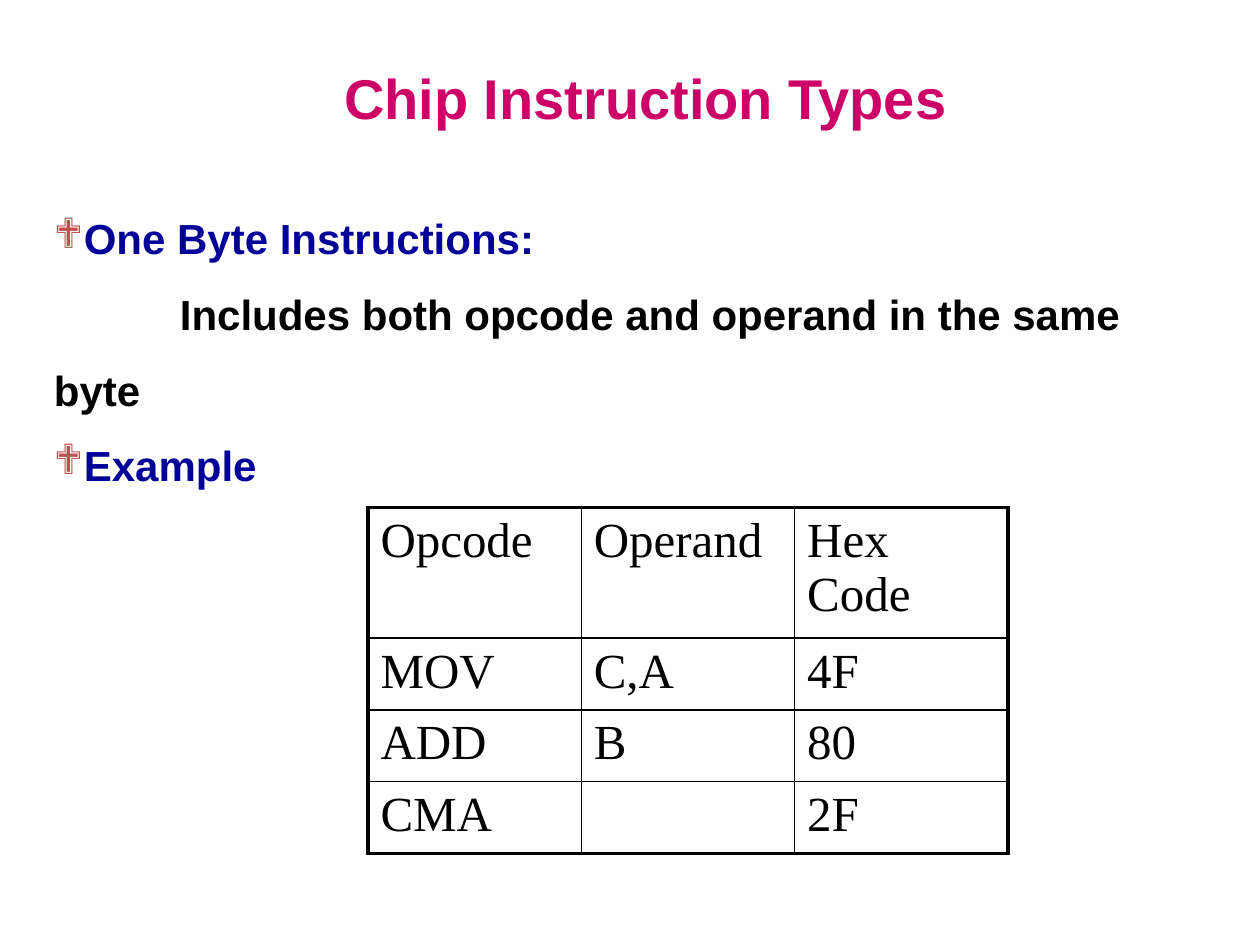
from dataclasses import dataclass

from lxml import etree
from pptx import Presentation
from pptx.dml.color import RGBColor
from pptx.enum.text import MSO_ANCHOR, MSO_AUTO_SIZE, PP_ALIGN
from pptx.oxml.ns import qn
from pptx.util import Inches, Pt

TOP = MSO_ANCHOR.TOP
FIXED = MSO_AUTO_SIZE.NONE
CENTER = PP_ALIGN.CENTER


@dataclass(frozen=True)
class Theme:
    sans: str = "Arial"
    serif: str = "Times New Roman"
    symbol: str = "Wingdings"
    pink: str = "CC0066"
    navy: str = "000099"
    black: str = "000000"
    red: str = "C0504D"
    title: int = 32
    body: int = 24
    cell: int = 28
    thick: float = 2.25
    thin: float = 1


THEME = Theme()

POINTS = [
    ("One Byte Instructions:", True),
    ("Includes both opcode and operand in the same byte", False),
    ("Example", True),
]
ROWS = [
    ("Opcode", "Operand", "Hex Code"),
    ("MOV", "C,A", "4F"),
    ("ADD", "B", "80"),
    ("CMA", "", "2F"),
]


def style(para, face, size, color, bold=False):
    font = para.font
    font.name, font.size, font.bold = face, Pt(size), bold
    font.color.rgb = RGBColor.from_string(color)


def add_color(parent, color):
    etree.SubElement(parent, qn("a:srgbClr"), val=color)


def add_title(slide, text):
    title = slide.shapes.title
    title.left, title.top = Inches(2.62), Inches(0.45)
    title.width, title.height = Inches(5.01), Inches(0.63)
    frame = title.text_frame
    frame.text = text
    frame.word_wrap = False
    frame.auto_size = FIXED
    frame.vertical_anchor = TOP
    para = frame.paragraphs[0]
    para.alignment = CENTER
    style(para, THEME.sans, THEME.title, THEME.pink, True)


def set_bullet(para):
    props = para._p.get_or_add_pPr()
    add_color(etree.SubElement(props, qn("a:buClr")), THEME.red)
    etree.SubElement(props, qn("a:buFont"), typeface=THEME.symbol)
    etree.SubElement(props, qn("a:buChar"), char="❖")


def add_points(slide, points):
    box = slide.shapes.add_textbox(
        Inches(0.33), Inches(1.44), Inches(8.92), Inches(3.69))
    frame = box.text_frame
    frame.word_wrap = True
    for i, (text, head) in enumerate(points):
        para = frame.add_paragraph() if i else frame.paragraphs[0]
        para.text = text
        para.line_spacing = 1.5
        if head:
            set_bullet(para)
        else:
            # First-line indent
            props = para._p.get_or_add_pPr()
            props.set("marL", "0")
            props.set("indent", str(Inches(1)))
        color = THEME.navy if head else THEME.black
        style(para, THEME.sans, THEME.body, color, True)


def set_edges(cell, outer):
    """Draw the cell's four sides, thick on the sides named in outer."""
    props = cell._tc.get_or_add_tcPr()
    for side in "LRTB":
        width = THEME.thick if side in outer else THEME.thin
        line = etree.SubElement(props, qn(f"a:ln{side}"), w=str(Pt(width)))
        add_color(etree.SubElement(line, qn("a:solidFill")), THEME.black)


def add_grid(slide, rows):
    high, wide = len(rows), len(rows[0])
    table = slide.shapes.add_table(
        high, wide, Inches(2.92), Inches(4.03),
        Inches(5.08), Inches(2.74)).table
    table.first_row = table.horz_banding = False
    for r, row in enumerate(rows):
        table.rows[r].height = Inches(0.57 if r else 1.03)
        for c, text in enumerate(row):
            cell = table.cell(r, c)
            cell.text = text
            style(cell.text_frame.paragraphs[0],
                  THEME.serif, THEME.cell, THEME.black)
            ends = {"L": c == 0, "R": c == wide - 1,
                    "T": r == 0, "B": r == high - 1}
            set_edges(cell, [side for side, on in ends.items() if on])
            cell.fill.background()


def main():
    deck = Presentation()
    deck.slide_width, deck.slide_height = Inches(10), Inches(7.5)
    slide = deck.slides.add_slide(deck.slide_layouts[5])
    # Heading, bullet text, example table
    add_title(slide, "Chip Instruction Types")
    add_points(slide, POINTS)
    add_grid(slide, ROWS)
    deck.save("out.pptx")


if __name__ == "__main__":
    main()
